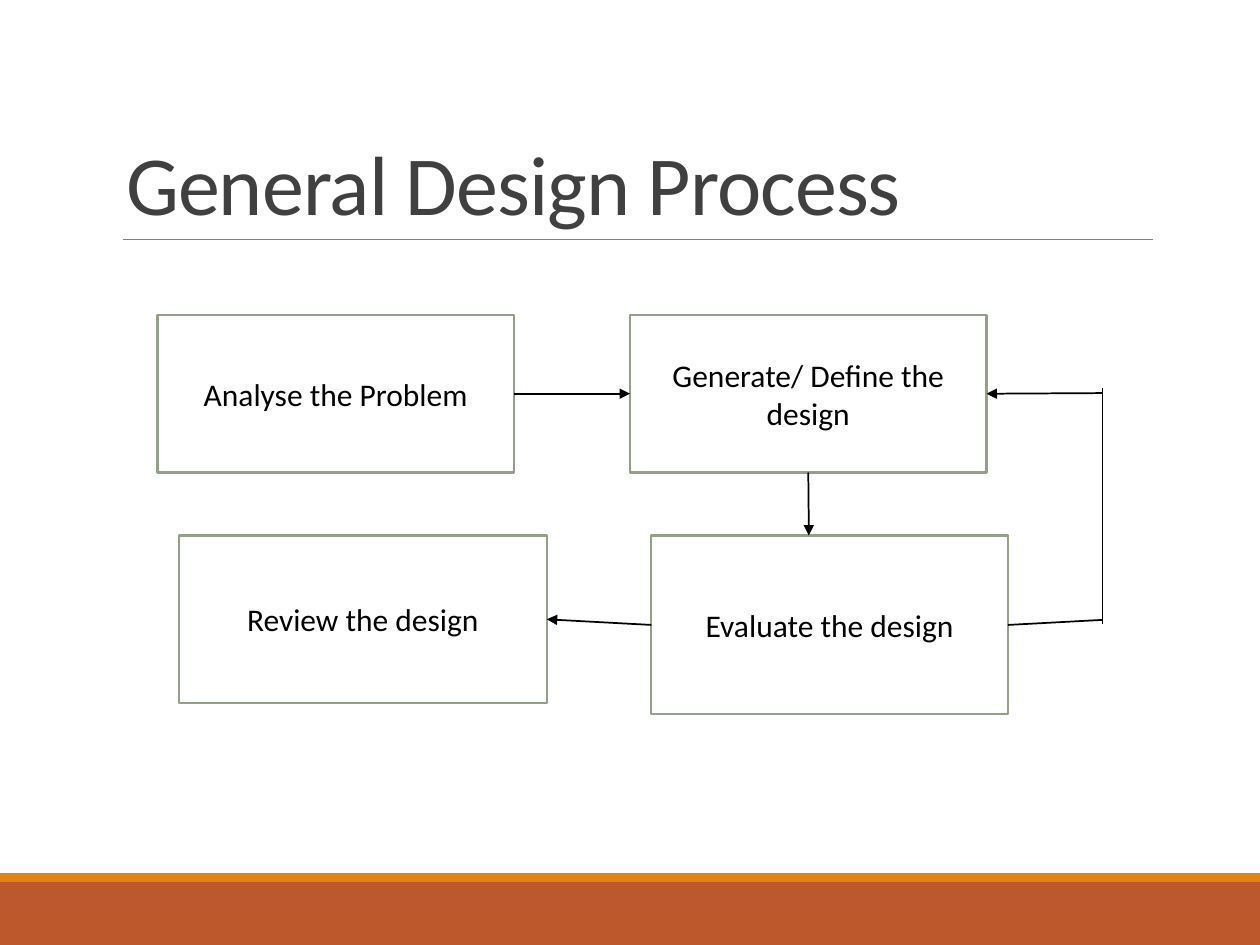
import dataclasses

import pptx
import pptx.dml.color
import pptx.enum.shapes
import pptx.enum.text
import pptx.oxml
import pptx.oxml.ns
import pptx.util

Inches = pptx.util.Inches
Pt = pptx.util.Pt
TOP, LEFT, BOTTOM, RIGHT = range(4)


@dataclasses.dataclass(frozen=True)
class Theme:
    font: str = "Calibri"
    title_size: float = 48
    box_size: float = 18
    title_color: str = "404040"
    text_color: str = "000000"
    box_fill: str = "FFFFFF"
    box_line: str = "94A088"
    rule_color: str = "808080"
    band_color: str = "BD582C"
    stripe_color: str = "E48312"


def rgb(value):
    return pptx.dml.color.RGBColor.from_string(value)


class SlideBuilder:
    """Holds the theme and the current slide."""

    def __init__(self, slide, theme):
        self.slide = slide
        self.theme = theme

    def text_run(self, paragraph, text, size, color):
        run = paragraph.add_run()
        run.text = text
        run.font.name = self.theme.font
        run.font.size = Pt(size)
        run.font.color.rgb = rgb(color)
        return run

    def title(self, text, left, top, width, height):
        shape = self.slide.shapes.title
        shape.left, shape.top = Inches(left), Inches(top)
        shape.width, shape.height = Inches(width), Inches(height)
        frame = shape.text_frame
        frame.word_wrap = True
        frame.auto_size = pptx.enum.text.MSO_AUTO_SIZE.NONE
        frame.vertical_anchor = pptx.enum.text.MSO_ANCHOR.BOTTOM
        paragraph = frame.paragraphs[0]
        paragraph.alignment = pptx.enum.text.PP_ALIGN.LEFT
        paragraph.line_spacing = 0.85
        run = self.text_run(paragraph, text, self.theme.title_size, self.theme.title_color)
        run.font._element.set("spc", "-50")

    def rectangle(self, left, top, width, height, fill):
        shape = self.slide.shapes.add_shape(
            pptx.enum.shapes.MSO_SHAPE.RECTANGLE,
            Inches(left), Inches(top), Inches(width), Inches(height))
        shape.shadow.inherit = False
        shape.fill.solid()
        shape.fill.fore_color.rgb = rgb(fill)
        shape.line.fill.background()
        return shape

    def box(self, text, left, top, width, height):
        shape = self.rectangle(left, top, width, height, self.theme.box_fill)
        shape.line.color.rgb = rgb(self.theme.box_line)
        shape.line.width = Pt(1.25)
        frame = shape.text_frame
        frame.word_wrap = True
        frame.vertical_anchor = pptx.enum.text.MSO_ANCHOR.MIDDLE
        paragraph = frame.paragraphs[0]
        paragraph.alignment = pptx.enum.text.PP_ALIGN.CENTER
        self.text_run(paragraph, text, self.theme.box_size, self.theme.text_color)
        return shape

    def line(self, start, end, begin=None, finish=None, arrow=False,
             color=None, width=1):
        """Draw a line; begin and finish are (shape, side) pairs to join."""
        connector = self.slide.shapes.add_connector(
            pptx.enum.shapes.MSO_CONNECTOR.STRAIGHT,
            Inches(start[0]), Inches(start[1]), Inches(end[0]), Inches(end[1]))
        connector.line.color.rgb = rgb(color or self.theme.text_color)
        connector.line.width = Pt(width)
        if begin:
            connector.begin_connect(*begin)
        if finish:
            connector.end_connect(*finish)
        namespace = pptx.oxml.ns.nsdecls("a")
        if arrow:
            connector.line._get_or_add_ln().append(pptx.oxml.parse_xml(
                f'<a:tailEnd {namespace} type="triangle"/>'))
        connector._element.spPr.append(
            pptx.oxml.parse_xml(f"<a:effectLst {namespace}/>"))


def main():
    presentation = pptx.Presentation()
    presentation.slide_width = Inches(10)
    presentation.slide_height = Inches(7.5)
    theme = Theme()
    slide = presentation.slides.add_slide(presentation.slide_layouts[5])
    builder = SlideBuilder(slide, theme)

    # Footer bands, title and rule
    builder.rectangle(0, 7, 10, 0.5, theme.band_color)
    builder.rectangle(0, 6.93, 10, 0.07, theme.stripe_color)
    builder.line((0.98, 1.9), (9.15, 1.9), color=theme.rule_color, width=0.5)
    builder.title("General Design Process", 0.9, 0.31, 8.25, 1.59)

    # Process steps
    analyse = builder.box("Analyse the Problem", 1.25, 2.5, 2.83, 1.25)
    generate = builder.box("Generate/ Define the design", 5, 2.5, 2.83, 1.25)
    evaluate = builder.box("Evaluate the design", 5.17, 4.25, 2.83, 1.42)
    review = builder.box("Review the design", 1.42, 4.25, 2.92, 1.33)

    # Forward flow
    builder.line((4.08, 3.12), (5, 3.12), (analyse, RIGHT), (generate, LEFT), arrow=True)
    builder.line((6.42, 3.75), (6.42, 4.25), begin=(generate, BOTTOM), arrow=True)
    builder.line((5.17, 4.96), (4.34, 4.92), (evaluate, LEFT), (review, RIGHT), arrow=True)

    # Feedback loop from evaluation to design
    loop_x = 8.75
    builder.line((8, 4.96), (loop_x, 4.92), begin=(evaluate, RIGHT))
    builder.line((loop_x, 4.95), (loop_x, 3.08))
    builder.line((loop_x, 3.12), (7.83, 3.12), finish=(generate, RIGHT), arrow=True)

    presentation.save("out.pptx")


if __name__ == "__main__":
    main()
